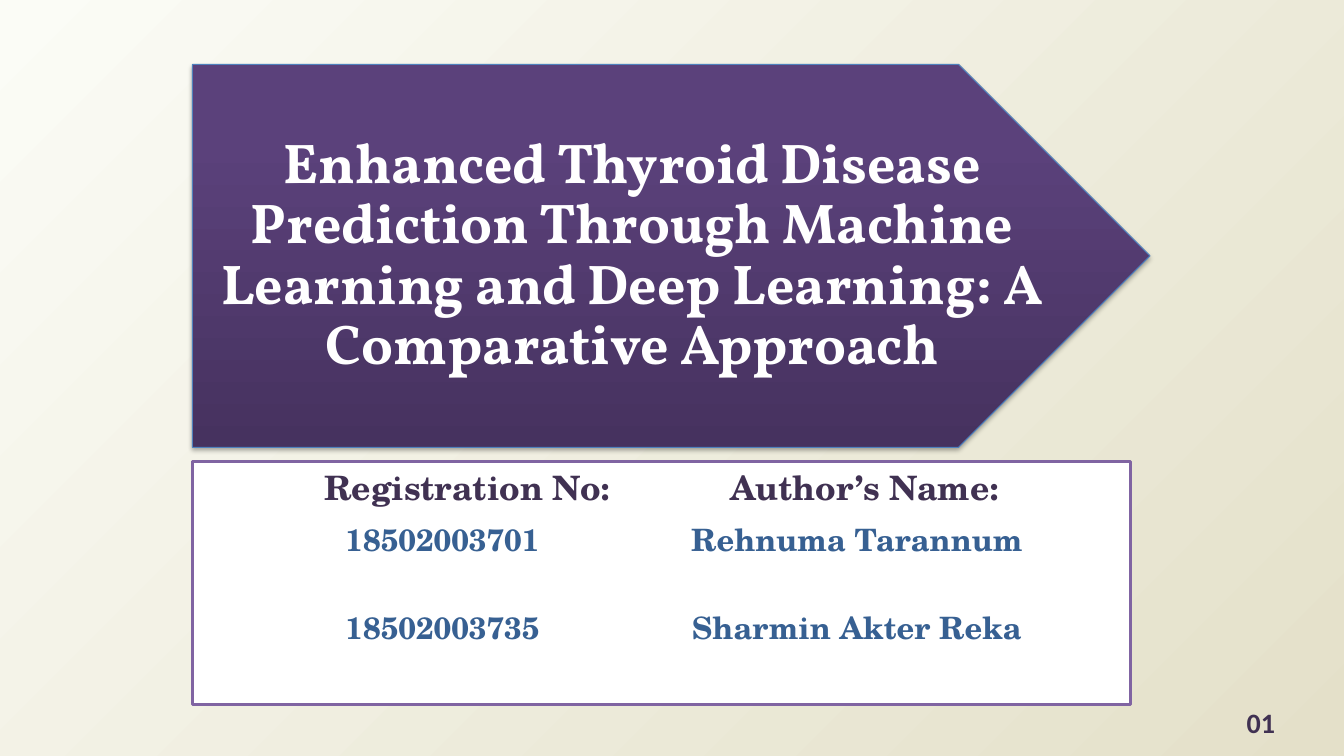
from dataclasses import dataclass

from lxml.etree import SubElement
from pptx import Presentation
from pptx.dml.color import RGBColor
from pptx.enum.shapes import MSO_SHAPE as Shape
from pptx.enum.text import MSO_ANCHOR as Anchor, MSO_AUTO_SIZE as AutoSize, PP_ALIGN as Align
from pptx.oxml.ns import qn
from pptx.util import Pt

TITLE = ("Enhanced Thyroid Disease Prediction Through Machine Learning "
         "and Deep Learning: A Comparative Approach")
HEADINGS = ("Registration No:", "Author’s Name:")
AUTHORS = [
    ("18502003701", "Rehnuma Tarannum"),
    ("18502003735", "Sharmin Akter Reka"),
]
PAGE_NUMBER = "01"


@dataclass(frozen=True)
class Theme:
    backdrop: tuple = ((0, "FBFCF6"), (100, "E4E0C9"))
    banner: tuple = ((0, "46325F"), (80, "5B417B"), (100, "5B407C"))
    banner_line: str = "4F81BD"
    panel: str = "FFFFFF"
    panel_line: str = "8064A2"
    title: str = "FFFFFF"
    dark: str = "403152"
    author: str = "376092"
    title_font: str = "Vollkorn"
    author_font: str = "TeX Gyre Schola"
    number_font: str = "Calibri"
    title_size: int = 40
    heading_size: int = 24
    author_size: int = 22
    number_size: int = 20


THEME = Theme()
LEFT = 137.5
BANNER = (LEFT, 46, 684, 273.6)
TITLE_BOX = (LEFT, 46, 615.6, 273.6)
PANEL = (LEFT, 329.8, 670.3, 173.5)
NUMBER_BOX = (854.6, 503.3, 92.2, 25.2)
HEADING_TABS = (189, 473)
AUTHOR_TABS = (171.5, 467.5)
AUTHOR_GAPS = (10, 36)


def points(values):
    return [Pt(value) for value in values]


def set_gradient(fill, owner, stops, angle):
    fill.gradient()
    fill.gradient_angle = angle
    stop_list = owner.find(".//" + qn("a:gsLst"))
    for old in list(stop_list):
        stop_list.remove(old)
    for percent, color in stops:
        stop = SubElement(stop_list, qn("a:gs"), pos=str(percent * 1000))
        SubElement(stop, qn("a:srgbClr"), val=color)


def set_line(shape, color, width):
    shape.line.color.rgb = RGBColor.from_string(color)
    shape.line.width = Pt(width)


def set_font(para, name, size, color):
    para.font.name = name
    para.font.size = Pt(size)
    para.font.bold = True
    para.font.color.rgb = RGBColor.from_string(color)


def add_shadow(shape):
    shape.shadow.inherit = False
    effects = shape._element.spPr.find(qn("a:effectLst"))
    shadow = SubElement(effects, qn("a:outerShdw"), blurRad=str(Pt(3.1)),
                        dist=str(Pt(1.8)), dir="5400000", rotWithShape="0")
    color = SubElement(shadow, qn("a:srgbClr"), val="000000")
    SubElement(color, qn("a:alpha"), val="35000")


def add_columns(para, texts, tabs, size, color, gap):
    para.text = "".join("\t" + text for text in texts)
    para.alignment = Align.LEFT
    para.space_before = Pt(gap)
    set_font(para, THEME.author_font, size, color)
    tab_list = SubElement(para._p.get_or_add_pPr(), qn("a:tabLst"))
    for tab in tabs:
        SubElement(tab_list, qn("a:tab"), pos=str(Pt(tab)), algn="ctr")


def add_panel(page):
    panel = page.shapes.add_shape(Shape.RECTANGLE, *points(PANEL))
    panel.shadow.inherit = False
    panel.fill.solid()
    panel.fill.fore_color.rgb = RGBColor.from_string(THEME.panel)
    set_line(panel, THEME.panel_line, 2)
    frame = panel.text_frame
    frame.vertical_anchor = Anchor.TOP
    add_columns(frame.paragraphs[0], HEADINGS, HEADING_TABS,
                THEME.heading_size, THEME.dark, 4.8)
    for author, gap in zip(AUTHORS, AUTHOR_GAPS):
        add_columns(frame.add_paragraph(), author, AUTHOR_TABS,
                    THEME.author_size, THEME.author, gap)


def add_banner(page):
    banner = page.shapes.add_shape(Shape.PENTAGON, *points(BANNER))
    set_gradient(banner.fill, banner._element.spPr, THEME.banner, 90)
    set_line(banner, THEME.banner_line, 0.75)
    add_shadow(banner)


def place_title(page):
    title = page.shapes.title
    title.left, title.top, title.width, title.height = points(TITLE_BOX)
    page.shapes._spTree.append(title._element)
    frame = title.text_frame
    frame.word_wrap = True
    frame.auto_size = AutoSize.NONE
    frame.vertical_anchor = Anchor.MIDDLE
    frame.margin_left, frame.margin_right = points((16.6, 4.3))
    frame.margin_top = frame.margin_bottom = Pt(8.6)
    para = frame.paragraphs[0]
    para.text = TITLE
    para.alignment = Align.CENTER
    para.line_spacing = 0.9
    set_font(para, THEME.title_font, THEME.title_size, THEME.title)


def add_page_number(page):
    box = page.shapes.add_textbox(*points(NUMBER_BOX))
    box.text_frame.word_wrap = True
    box.text_frame.vertical_anchor = Anchor.MIDDLE
    para = box.text_frame.paragraphs[0]
    para.text = PAGE_NUMBER
    para.alignment = Align.CENTER
    set_font(para, THEME.number_font, THEME.number_size, THEME.dark)


def main():
    deck = Presentation()
    deck.slide_width, deck.slide_height = points((960, 540))
    page = deck.slides.add_slide(deck.slide_layouts[5])
    set_gradient(page.background.fill, page._element, THEME.backdrop, 315)
    add_panel(page)
    add_banner(page)
    place_title(page)
    add_page_number(page)
    deck.save("out.pptx")


if __name__ == "__main__":
    main()
